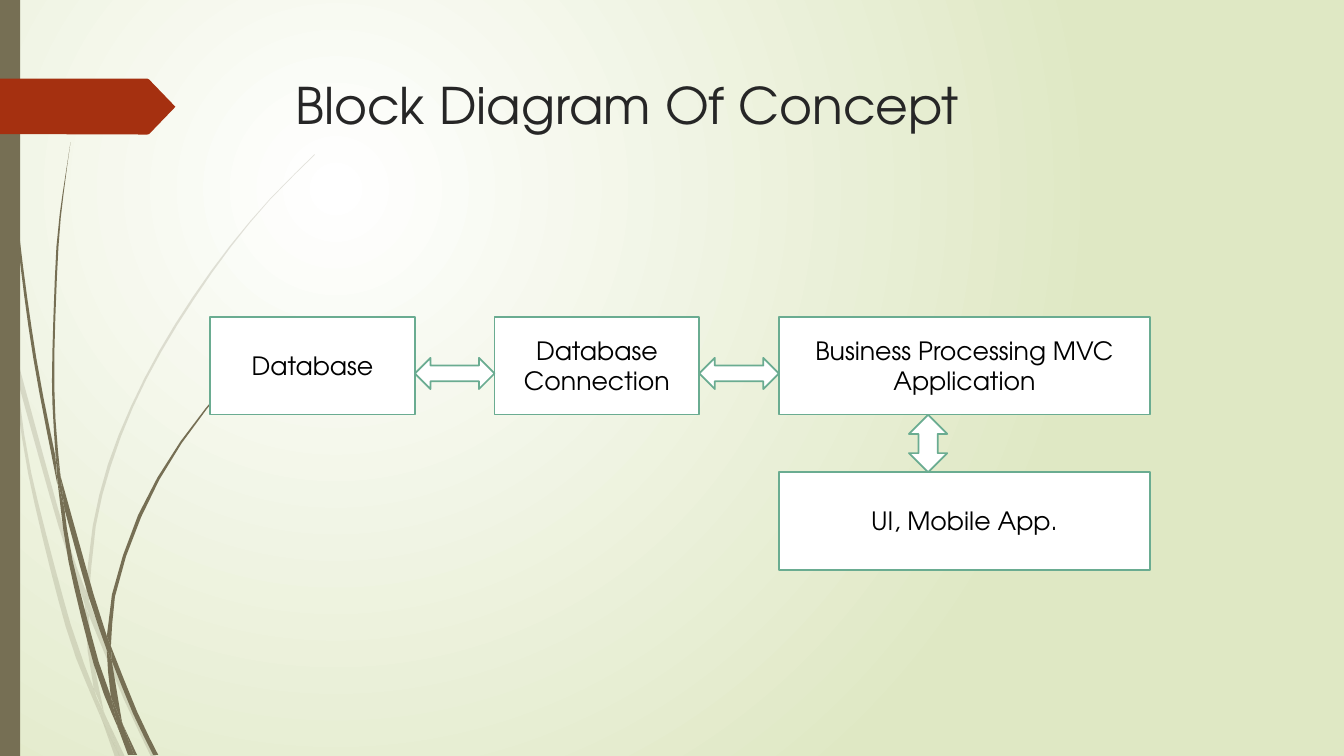
"""Build the block diagram slide on a grid of 1333 columns by 750 rows."""
import dataclasses
import math
import typing

import lxml.etree
import pptx
import pptx.dml.color
import pptx.enum.shapes
import pptx.enum.text
import pptx.oxml.ns
import pptx.util

COLUMNS, ROWS = 1333, 750
FONT = "TeX Gyre Adventor"
OLIVE, RUST, MINT, WHITE = "766F54", "A53010", "6AAC91", "FFFFFF"
PRESET = pptx.enum.shapes.MSO_SHAPE
ALIGN = pptx.enum.text.PP_ALIGN
ANCHOR = pptx.enum.text.MSO_ANCHOR
Point = tuple[float, float]

deck = pptx.Presentation()
deck.slide_width = pptx.util.Inches(13.33)
deck.slide_height = pptx.util.Inches(7.5)
slide = deck.slides.add_slide(deck.slide_layouts[6])
COLUMN, ROW = deck.slide_width / COLUMNS, deck.slide_height / ROWS


@dataclasses.dataclass(frozen=True)
class Area:
    """A rectangle in columns and rows."""
    left: float
    top: float
    width: float
    height: float

    @property
    def right(self) -> float:
        """Return the column of the right edge."""
        return self.left + self.width

    @property
    def bottom(self) -> float:
        """Return the row of the lower edge."""
        return self.top + self.height

    def place(self) -> tuple[int, int, int, int]:
        """Return left, top, width and height in slide units."""
        return (round(self.left * COLUMN), round(self.top * ROW),
                round(self.width * COLUMN), round(self.height * ROW))


@dataclasses.dataclass(frozen=True)
class Block:
    """A labelled stage of the concept."""
    area: Area
    label: str


def rgb(code: str) -> pptx.dml.color.RGBColor:
    """Turn a hex string into a colour."""
    return pptx.dml.color.RGBColor.from_string(code)


def child(parent: typing.Any, tag: str, **attributes: str) -> typing.Any:
    """Append a drawing element to a parent."""
    return lxml.etree.SubElement(parent, pptx.oxml.ns.qn(tag), attributes)


def paint(shape: typing.Any, fill: str, line: str = "", opacity: int = 100) -> typing.Any:
    """Give a shape its fill, outline and opacity, without shadow."""
    shape.shadow.inherit = False
    shape.fill.solid()
    shape.fill.fore_color.rgb = rgb(fill)
    if opacity < 100:
        tone = shape.fill._xPr.find(".//" + pptx.oxml.ns.qn("a:srgbClr"))
        child(tone, "a:alpha", val=str(opacity * 1000))
    if line:
        shape.line.color.rgb = rgb(line)
        shape.line.width = pptx.util.Pt(1.25)
    else:
        shape.line.fill.background()
    return shape


def write(shape: typing.Any, text: str, *, size: float, color: str,
          align: ALIGN = ALIGN.LEFT, anchor: ANCHOR = ANCHOR.TOP) -> None:
    """Write text into a shape, one paragraph for each line."""
    frame = shape.text_frame
    frame.word_wrap = True
    frame.vertical_anchor = anchor
    frame.text = text
    for paragraph in frame.paragraphs:
        paragraph.alignment = align
        font = paragraph.runs[0].font
        font.name, font.size, font.color.rgb = FONT, pptx.util.Pt(size), rgb(color)


def add_preset(kind: PRESET, area: Area, fill: str, line: str = "") -> typing.Any:
    """Add a painted preset shape."""
    return paint(slide.shapes.add_shape(kind, *area.place()), fill, line)


def add_outline(points: list[Point], fill: str, opacity: int = 100) -> None:
    """Add a closed painted outline."""
    start, *others = [(x * COLUMN, y * ROW) for x, y in points]
    builder = slide.shapes.build_freeform(*start, scale=1.0)
    builder.add_line_segments(others, close=True)
    paint(builder.convert_to_shape(), fill, opacity=opacity)


def read_points(text: str) -> list[Point]:
    """Read knots written as column,row."""
    return [tuple(map(float, pair.split(","))) for pair in text.split()]


def smooth(knots: list[Point], spacing: float = 30) -> list[Point]:
    """Trace a Catmull-Rom curve through the knots, with more points on longer spans."""
    padded = [knots[0], *knots, knots[-1]]
    curve = []
    for a, b, c, d in zip(padded, padded[1:], padded[2:], padded[3:]):
        steps = max(1, round(math.dist(b, c) / spacing))
        for step in range(steps):
            t = step / steps
            curve.append(tuple(
                q + t / 2 * (r - p + t * (2 * p - 5 * q + 4 * r - s + t * (3 * (q - r) + s - p)))
                for p, q, r, s in zip(a, b, c, d)))
    return [*curve, knots[-1]]


def add_blade(edges: str, opacity: int) -> None:
    """Add a piece of grass bounded by two smooth edges."""
    outline = [point for edge in edges.split("|") for point in smooth(read_points(edge))]
    add_outline(outline, OLIVE, opacity)


def fill_background() -> None:
    """Give the slide a radial gradient centred in its upper left quarter."""
    fill = slide.background.fill
    fill.gradient()
    for stop, color in zip(fill.gradient_stops, (WHITE, "DFE8C4")):
        stop.color.rgb = rgb(color)
    gradient = slide.background._cSld.find(".//" + pptx.oxml.ns.qn("a:gradFill"))
    linear = gradient.find(pptx.oxml.ns.qn("a:lin"))
    radial = child(gradient, "a:path", path="circle")
    child(radial, "a:fillToRect", l="50000", t="50000", r="100000", b="100000")
    gradient.replace(linear, radial)


PALE_GRASS = (
    "11,350 9,322 0,282 | 0,299 10,344",
    "17,376 58,522 84,599 | 85,586 62,520 14,345",
    "88,610 123,694 150,751 | 155,751 127,692 88,596",
    "105,711 119,751 | 124,751",
    "11,350 28,470 65,621 92,693 101,714 | 99,707 93,683 70,619 31,469 17,376",
    "84,599 87,646 93,683 105,711 | 103,706 91,646 88,610",
    "85,586 92,522 107,461 130,403 158,348 191,295 228,244 268,197 312,153 | "
    "312,154 268,198 229,245 193,296 160,349 132,404 110,462 95,522 88,596",
    "101,714 114,751 | 119,751",
    "85,586 84,599 88,608 | 88,610 88,596",
    "93,683 101,714 119,751 | 105,711 96,692",
)
DARK_GRASS = (
    "3,0 7,110 17,233 33,355 57,481 | 55,453 36,355 19,232 8,109 4,0",
    "64,505 88,592 106,645 | 106,631 93,590 60,472",
    "111,656 132,708 152,749 | 157,749 136,706 110,641",
    "57,477 68,557 93,659 111,708 117,722 | 116,717 110,691 98,657 72,556 64,505",
    "60,472 55,415 54,349 58,245 63,193 70,141 | 62,193 56,245 52,349 52,400 55,449",
    "122,719 133,749 | 136,749",
    "57,477 64,505 | 60,472 55,449",
    "106,631 111,590 122,551 137,511 156,474 179,438 204,405 231,373 260,344 | "
    "261,344 231,374 205,406 180,440 158,476 140,513 125,552 114,592 110,641",
    "117,722 127,749 | 131,749",
    "106,645 110,691 122,719 | 121,716 111,656",
    "106,631 106,645 111,656 | 110,641",
    "110,691 117,722 130,749 | 133,749 122,719",
)
PITCH, BLOCK_HEIGHT, FLOW_TOP, GAP = 282, 97, 314.2, 57
FLOW_LEFT, NARROW, WIDE = 208.5, 203, 368

fill_background()
for grass, opacity in ((PALE_GRASS, 20), (DARK_GRASS, 100)):
    for edges in grass:
        add_blade(edges, opacity)
add_preset(PRESET.RECTANGLE, Area(0, 0, 20, ROWS), OLIVE)
add_outline(read_points("0,78 146,78 148,79 174,106 148,133 146,133.5 0,133"), RUST)

title = slide.shapes.add_textbox(*Area(283, 69, 975, 140).place())
write(title, "Block Diagram Of Concept", size=36, color="262626")

stages = (("Database", NARROW), ("Database\nConnection", NARROW),
          ("Business Processing MVC Application", WIDE))
flow = [Block(Area(FLOW_LEFT + index * PITCH, FLOW_TOP, width, BLOCK_HEIGHT), label)
        for index, (label, width) in enumerate(stages)]
business = flow[-1].area
client = Block(dataclasses.replace(business, top=business.bottom + GAP), "UI, Mobile App.")
for block in (*flow, client):
    box = add_preset(PRESET.FLOWCHART_PROCESS, block.area, WHITE, MINT)
    write(box, block.label, size=18, color="000000", align=ALIGN.CENTER, anchor=ANCHOR.MIDDLE)

for source, target in zip(flow, flow[1:]):
    span = Area(source.area.right, 355, target.area.left - source.area.right, 31)
    add_preset(PRESET.LEFT_RIGHT_ARROW, span, WHITE, MINT)
client_link = add_preset(PRESET.LEFT_RIGHT_ARROW, Area(892, 421, GAP, 38), WHITE, MINT)
client_link.rotation = 270

deck.save("out.pptx")
